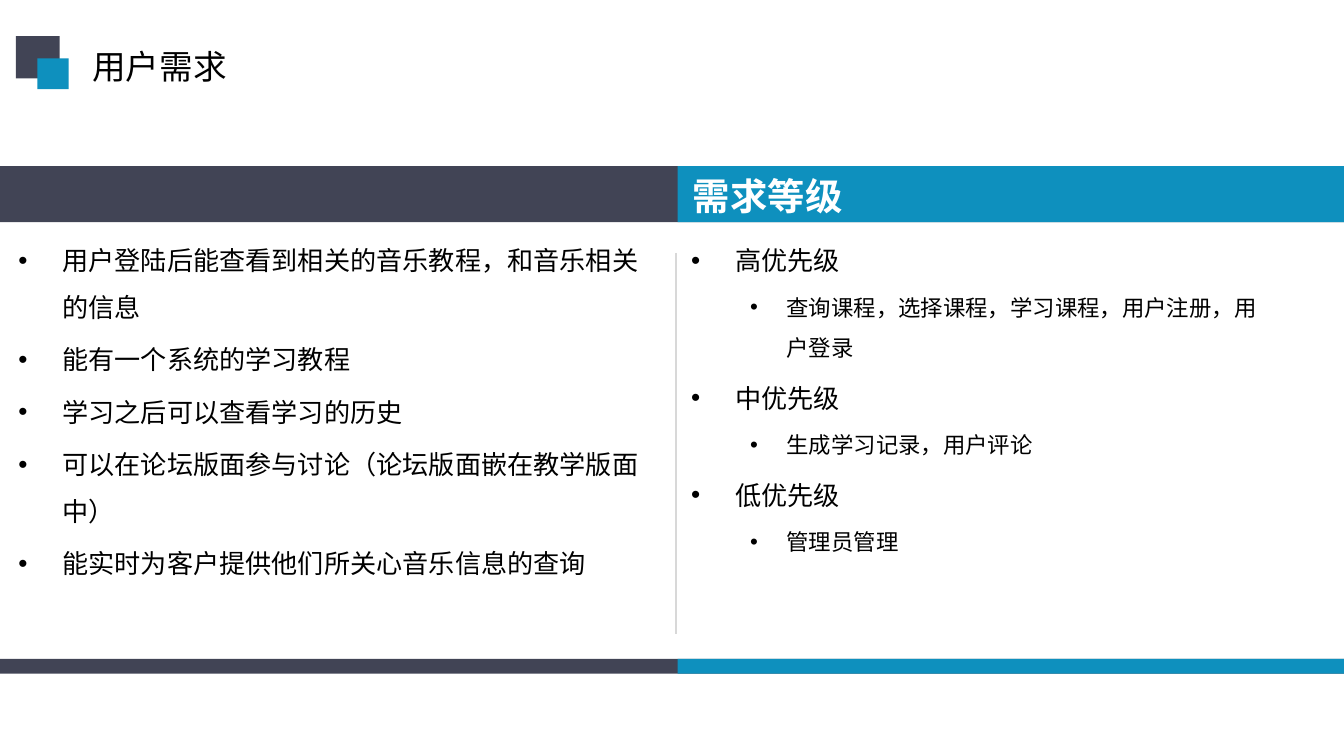
"""Build the user requirements slide with two bulleted columns."""
from dataclasses import dataclass

from lxml.etree import SubElement
from pptx import Presentation
from pptx.dml.color import RGBColor
from pptx.enum.shapes import MSO_CONNECTOR, MSO_SHAPE
from pptx.enum.text import MSO_ANCHOR, MSO_AUTO_SIZE, PP_ALIGN
from pptx.oxml.ns import qn
from pptx.util import Pt

SLATE = RGBColor(0x41, 0x44, 0x55)
BLUE = RGBColor(0x0E, 0x90, 0xBE)
GREY = RGBColor(0xD8, 0xD8, 0xD8)
BLACK = RGBColor(0x00, 0x00, 0x00)
WHITE = RGBColor(0xFF, 0xFF, 0xFF)
CHINESE_FONT = "Noto Sans CJK SC"
SLIDE_WIDTH = 720
SLIDE_HEIGHT = 405
COLUMN_SPLIT = 363


@dataclass(frozen=True)
class Box:
    left: float
    top: float
    width: float
    height: float


@dataclass(frozen=True)
class Level:
    size: float
    font: str
    margin: float
    indent: float


@dataclass(frozen=True)
class Item:
    text: str
    level: int = 0


LEVELS = (
    Level(14, CHINESE_FONT, 23.6, -23.6),
    Level(12, "Arial", 51.2, -19.6),
)
REQUIREMENTS = (
    Item("用户登陆后能查看到相关的音乐教程，和音乐相关的信息"),
    Item("能有一个系统的学习教程"),
    Item("学习之后可以查看学习的历史"),
    Item("可以在论坛版面参与讨论（论坛版面嵌在教学版面中）"),
    Item("能实时为客户提供他们所关心音乐信息的查询"),
)
PRIORITIES = (
    Item("高优先级"),
    Item("查询课程，选择课程，学习课程，用户注册，用户登录", 1),
    Item("中优先级"),
    Item("生成学习记录，用户评论", 1),
    Item("低优先级"),
    Item("管理员管理", 1),
)


def draw_rectangle(slide, box: Box, color: RGBColor) -> None:
    shape = slide.shapes.add_shape(
        MSO_SHAPE.RECTANGLE, Pt(box.left), Pt(box.top), Pt(box.width), Pt(box.height)
    )
    shape.shadow.inherit = False
    shape.fill.solid()
    shape.fill.fore_color.rgb = color
    shape.line.fill.background()


def draw_band(slide, top: float, height: float) -> None:
    draw_rectangle(slide, Box(0, top, SLIDE_WIDTH, height), SLATE)
    right_half = Box(COLUMN_SPLIT, top, SLIDE_WIDTH - COLUMN_SPLIT, height)
    draw_rectangle(slide, right_half, BLUE)


def draw_divider(slide, x: float, top: float, bottom: float) -> None:
    connector = slide.shapes.add_connector(
        MSO_CONNECTOR.STRAIGHT, Pt(x), Pt(top), Pt(x), Pt(bottom)
    )
    connector.line.color.rgb = GREY
    connector.line.width = Pt(0.75)
    SubElement(connector.element.spPr, qn("a:effectLst"))


def place(placeholder, box: Box, wrap: bool = True) -> None:
    placeholder.left, placeholder.top = Pt(box.left), Pt(box.top)
    placeholder.width, placeholder.height = Pt(box.width), Pt(box.height)
    frame = placeholder.text_frame
    frame.word_wrap = wrap
    frame.auto_size = MSO_AUTO_SIZE.NONE
    frame.vertical_anchor = MSO_ANCHOR.TOP
    placeholder.element.getparent().append(placeholder.element)


def add_text(paragraph, text: str, size: float, font: str, color: RGBColor, bold: bool = False) -> None:
    paragraph.alignment = PP_ALIGN.LEFT
    run = paragraph.add_run()
    run.text = text
    run.font.size = Pt(size)
    run.font.bold = bold
    run.font.color.rgb = color
    run.font.name = font
    SubElement(run.font._element, qn("a:ea"), typeface=CHINESE_FONT)


def fill_list(placeholder, items: tuple[Item, ...]) -> None:
    frame = placeholder.text_frame
    for index, item in enumerate(items):
        level = LEVELS[item.level]
        paragraph = frame.add_paragraph() if index else frame.paragraphs[0]
        paragraph.level = item.level
        paragraph.line_spacing = 1.5
        paragraph.space_before = Pt(level.size * 0.2)
        add_text(paragraph, item.text, level.size, level.font, BLACK)
        properties = paragraph._p.get_or_add_pPr()
        properties.set("marL", str(Pt(level.margin)))
        properties.set("indent", str(Pt(level.indent)))
        SubElement(properties, qn("a:buFont"), typeface="Arial")
        SubElement(properties, qn("a:buChar"), char="•")


def main() -> None:
    presentation = Presentation()
    presentation.slide_width = Pt(SLIDE_WIDTH)
    presentation.slide_height = Pt(SLIDE_HEIGHT)
    slide = presentation.slides.add_slide(presentation.slide_layouts.get_by_name("Comparison"))
    title, left_heading, left_list, right_heading, right_list = list(slide.placeholders)
    left_heading.element.getparent().remove(left_heading.element)

    draw_band(slide, 89, 30)
    draw_divider(slide, 362.2, 135.5, 339.5)
    draw_band(slide, 353, 8)

    place(right_list, Box(COLUMN_SPLIT, 119, 318, 238))
    fill_list(right_list, PRIORITIES)
    place(left_list, Box(2.6, 119, 357, 238))
    fill_list(left_list, REQUIREMENTS)
    place(right_heading, Box(364, 89, 318, 24))
    heading = right_heading.text_frame.paragraphs[0]
    heading.space_before = Pt(0)
    add_text(heading, "需求等级", 20, CHINESE_FONT, WHITE, bold=True)
    place(title, Box(42.2, 21, 87, 29), wrap=False)
    add_text(title.text_frame.paragraphs[0], "用户需求", 18, CHINESE_FONT, BLACK)

    draw_rectangle(slide, Box(8.5, 19.3, 23.5, 22.7), SLATE)
    draw_rectangle(slide, Box(20, 31.3, 16.8, 16.5), BLUE)
    presentation.save("out.pptx")


if __name__ == "__main__":
    main()
